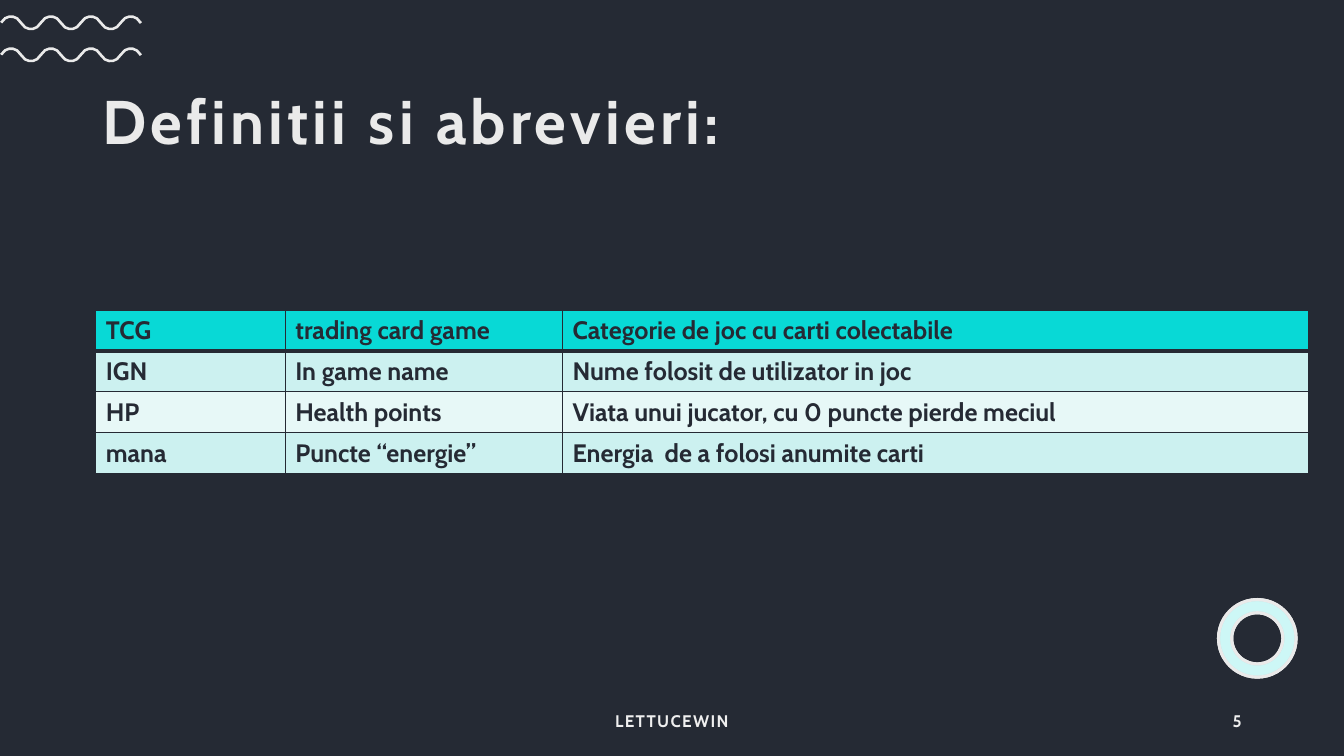
import math
from dataclasses import dataclass

import pptx
import pptx.dml.color
import pptx.enum.shapes
import pptx.enum.text
import pptx.oxml
import pptx.oxml.ns
import pptx.slide
import pptx.table
import pptx.text.text
import pptx.util
from lxml import etree

Pt = pptx.util.Pt
Align = pptx.enum.text.PP_ALIGN

FONT = "Cabin"
COLORS = {
    "dark": "252A34",
    "light": "EAEAEA",
    "footer": "EFEFEF",
    "white": "FFFFFF",
    "teal": "08D9D6",
    "band": "CCF1F0",
    "pale": "E7F8F7",
}


@dataclass
class Label:
    text: str
    left: float
    top: float
    width: float
    height: float
    size: float
    color: str
    align: pptx.enum.text.PP_ALIGN
    tracking: float
    line_spacing: float = 1.0


LABELS = [
    Label("Definitii si abrevieri:", 66, 44.6, 828, 88.6, 44, "light", Align.LEFT, 3, 0.9),
    Label("LETTUCEWIN", 318, 500.5, 324, 28.75, 12, "footer", Align.CENTER, 1),
    Label("5", 678, 500.5, 216, 28.75, 12, "footer", Align.RIGHT, 1),
]
TERMS = [
    ("TCG", "trading card game", "Categorie de joc cu carti colectabile"),
    ("IGN", "In game name", "Nume folosit de utilizator in joc"),
    ("HP", "Health points", "Viata unui jucator, cu 0 puncte pierde meciul"),
    ("mana", "Puncte “energie”", "Energia  de a folosi anumite carti"),
]
ROW_FILLS = ["teal", "band", "pale", "band"]
COLUMN_WIDTHS = [135.4, 198, 532.8]
ROW_HEIGHT = 29.2
WAVE_MIDDLES = [16.3, 39.2]
RING_LAYERS = [("white", 100), ("teal", 20)]


def rgb(name: str) -> pptx.dml.color.RGBColor:
    return pptx.dml.color.RGBColor.from_string(COLORS[name])


def style(paragraph: pptx.text.text._Paragraph, size: float, color: str) -> None:
    font = paragraph.font
    font.name, font.size, font.bold = FONT, Pt(size), True
    font.color.rgb = rgb(color)


def add_label(slide: pptx.slide.Slide, label: Label) -> None:
    box = slide.shapes.add_textbox(
        Pt(label.left), Pt(label.top), Pt(label.width), Pt(label.height))
    frame = box.text_frame
    frame.word_wrap = True
    frame.vertical_anchor = pptx.enum.text.MSO_ANCHOR.MIDDLE
    paragraph = frame.paragraphs[0]
    paragraph.text = label.text
    paragraph.alignment = label.align
    paragraph.line_spacing = label.line_spacing
    style(paragraph, label.size, label.color)
    properties = paragraph._p.get_or_add_pPr().get_or_add_defRPr()
    properties.set("spc", str(round(label.tracking * 100)))


def add_wave(slide: pptx.slide.Slide, middle: float) -> None:
    """Outline a band of even thickness along a cosine curve with rounded crests."""
    start, end, steps = 0.85, 100.7, 35
    crest, period, amplitude, rounding, half_thickness = 7.9, 28.5, 4.8, 0.08, 0.95
    upper, lower = [], []
    for step in range(steps + 1):
        x = start + (end - start) * step / steps
        angle = math.tau * (x - crest) / period
        y = middle - amplitude * (math.cos(angle) - rounding * math.cos(3 * angle))
        slope = amplitude * math.tau / period * (
            math.sin(angle) - 3 * rounding * math.sin(3 * angle))
        shift = half_thickness / math.hypot(1, slope)
        upper.append((Pt(x + slope * shift), Pt(y - shift)))
        lower.append((Pt(x - slope * shift), Pt(y + shift)))
    outline = upper + lower[::-1]
    builder = slide.shapes.build_freeform(*outline[0])
    builder.add_line_segments(outline[1:], close=True)
    wave = builder.convert_to_shape()
    wave.shadow.inherit = False
    wave.fill.solid()
    wave.fill.fore_color.rgb = rgb("light")
    wave.line.fill.background()


def add_ring(slide: pptx.slide.Slide, color: str, opacity: int) -> None:
    ring = slide.shapes.add_shape(
        pptx.enum.shapes.MSO_SHAPE.DONUT, Pt(870.4), Pt(428.3), Pt(55.4), Pt(55.4))
    ring.adjustments[0] = 0.17
    ring.shadow.inherit = False
    ring.fill.solid()
    ring.fill.fore_color.rgb = rgb(color)
    if opacity < 100:
        fill_color = ring._element.spPr.find(".//" + pptx.oxml.ns.qn("a:srgbClr"))
        alpha = etree.SubElement(fill_color, pptx.oxml.ns.qn("a:alpha"))
        alpha.set("val", str(opacity * 1000))
    ring.line.color.rgb = rgb("light")
    ring.line.width = Pt(2.25)


def add_borders(cell: pptx.table._Cell, bottom: float) -> None:
    properties = cell._tc.get_or_add_tcPr()
    for side, width in {"L": 1, "R": 1, "T": 1, "B": bottom}.items():
        properties.append(pptx.oxml.parse_xml(
            f'<a:ln{side} {pptx.oxml.ns.nsdecls("a")} w="{Pt(width)}"><a:solidFill>'
            f'<a:srgbClr val="{COLORS["dark"]}"/></a:solidFill></a:ln{side}>'))


def add_terms_table(slide: pptx.slide.Slide) -> None:
    table = slide.shapes.add_table(
        len(TERMS), len(COLUMN_WIDTHS), Pt(68.4), Pt(221.5),
        Pt(sum(COLUMN_WIDTHS)), Pt(ROW_HEIGHT * len(TERMS))).table
    for column, width in zip(table.columns, COLUMN_WIDTHS):
        column.width = Pt(width)
    for row_index, (row, terms) in enumerate(zip(table.rows, TERMS)):
        row.height = Pt(ROW_HEIGHT)
        for cell, term in zip(row.cells, terms):
            add_borders(cell, bottom=3 if row_index == 0 else 1)
            cell.fill.solid()
            cell.fill.fore_color.rgb = rgb(ROW_FILLS[row_index])
            cell.text = term
            style(cell.text_frame.paragraphs[0], 18, "dark")


def main() -> None:
    presentation = pptx.Presentation()
    presentation.slide_width, presentation.slide_height = Pt(960), Pt(540)
    slide = presentation.slides.add_slide(presentation.slide_layouts[6])
    slide.background.fill.solid()
    slide.background.fill.fore_color.rgb = rgb("dark")
    for middle in WAVE_MIDDLES:
        add_wave(slide, middle)
    for color, opacity in RING_LAYERS:
        add_ring(slide, color, opacity)
    for label in LABELS:
        add_label(slide, label)
    add_terms_table(slide)
    presentation.save("out.pptx")


if __name__ == "__main__":
    main()
